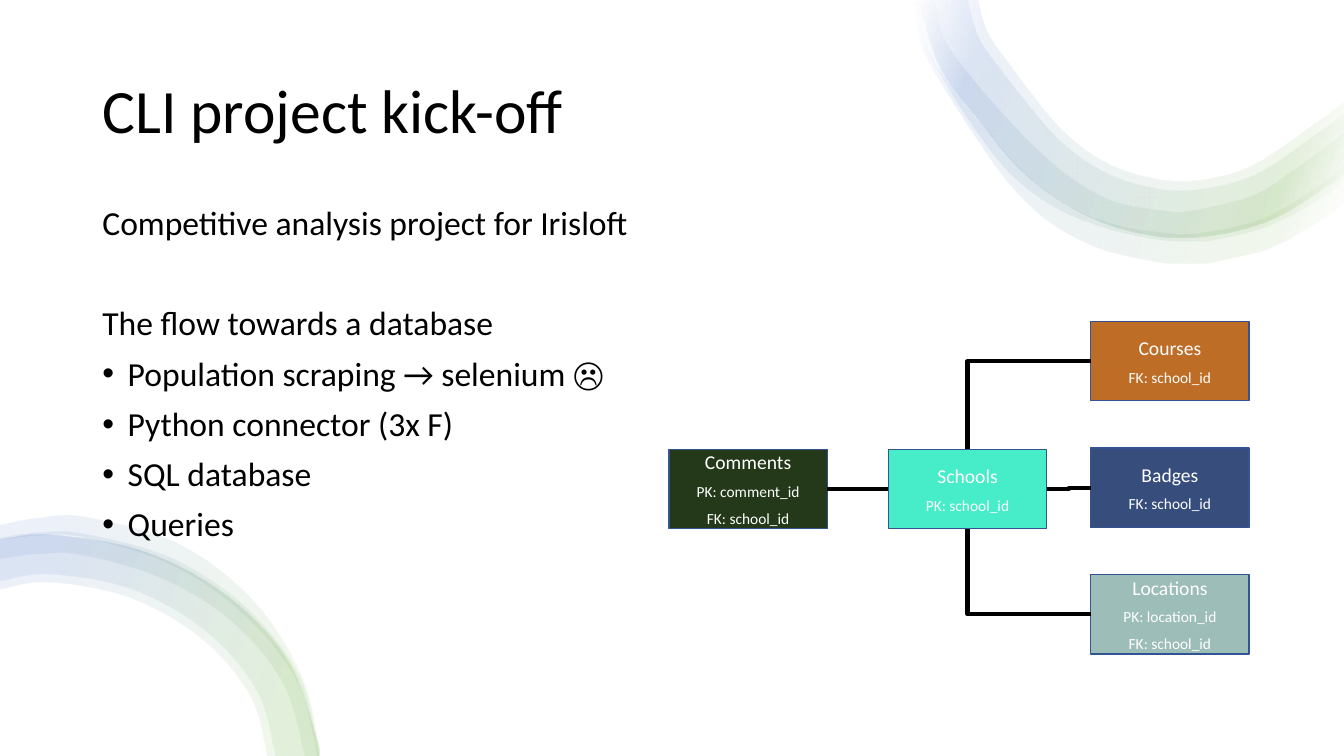
from lxml import etree
from pptx import Presentation
from pptx import util as u
from pptx.dml.color import RGBColor
from pptx.enum import shapes, text
from pptx.oxml import parse_xml
from pptx.oxml.ns import nsdecls, qn

# Content
TITLE = "CLI project kick-off"
# (line, bulleted, space before in points)
BODY = [
    ("Competitive analysis project for Irisloft", False, 0),
    ("The flow towards a database", False, 46),
    ("Population scraping → selenium ☹", True, 10),
    ("Python connector (3x F)", True, 10),
    ("SQL database", True, 10),
    ("Queries", True, 10),
]
# name: (column, row, fill, keys)
TABLES = {
    "Schools": (1, "hub", "46EDC8", ["PK: school_id"]),
    "Comments": (0, "hub", "243919", ["PK: comment_id", "FK: school_id"]),
    "Badges": (2, 1, "374D7C", ["FK: school_id"]),
    "Locations": (2, 2, "9DBDB8", ["PK: location_id", "FK: school_id"]),
    "Courses": (2, 0, "BD6D26", ["FK: school_id"]),
}
TOP, LEFT, BOTTOM, RIGHT = range(4)
# (from, side, to, side, preset)
LINKS = [
    ("Comments", RIGHT, "Schools", LEFT, "bentConnector3"),
    ("Badges", LEFT, "Schools", RIGHT, "bentConnector3"),
    ("Courses", LEFT, "Schools", TOP, "bentConnector2"),
    ("Locations", LEFT, "Schools", BOTTOM, "bentConnector2"),
]
# Edge points of the ribbons, in hundredths of an inch
UPPER_EDGE = [(911, 0), (933, 68), (973, 122), (1013, 169), (1060, 204), (1115, 227),
              (1181, 235), (1257, 219), (1321, 181), (1333, 171)]
LOWER_EDGE = [(316, 750), (314, 732), (284, 653), (222, 589), (141, 547), (49, 531), (0, 536)]
UPPER_RIBBONS = [  # (outer edge, inner edge)
    ([(907, 0), (916, 50), (942, 96), (970, 139), (1001, 182), (1041, 220), (1091, 246),
      (1147, 259), (1183, 261), (1205, 259), (1261, 245), (1310, 218), (1333, 202)],
     [(910, 0), (920, 49), (948, 92), (981, 132), (1015, 170), (1055, 201), (1101, 221),
      (1150, 230), (1188, 231), (1248, 218), (1293, 194), (1333, 165)]),
    ([(911, 0), (919, 46), (943, 91), (970, 132), (1002, 172), (1044, 204), (1094, 225),
      (1147, 237), (1184, 239), (1202, 238), (1255, 225), (1303, 201), (1333, 181)],
     [(927, 0), (937, 39), (964, 77), (996, 114), (1029, 148), (1064, 177), (1104, 199),
      (1150, 208), (1180, 209), (1241, 194), (1281, 170), (1333, 132)]),
    (UPPER_EDGE,
     [(960, 0), (971, 38), (995, 72), (1013, 95), (1049, 137), (1088, 166), (1131, 183),
      (1181, 188), (1244, 173), (1308, 131), (1333, 113)]),
    (UPPER_EDGE,
     [(970, 0), (980, 33), (1003, 66), (1021, 90), (1053, 128), (1090, 157), (1133, 174),
      (1181, 179), (1239, 165), (1302, 124), (1333, 101)]),
]
LOWER_RIBBONS = [
    (LOWER_EDGE,
     [(265, 750), (248, 690), (199, 633), (128, 593), (49, 578), (0, 585)]),
    (LOWER_EDGE,
     [(273, 750), (255, 686), (205, 627), (131, 585), (49, 570), (0, 577)]),
    ([(316, 750), (297, 672), (244, 603), (170, 554), (83, 530), (38, 529), (0, 534)],
     [(302, 750), (281, 679), (230, 617), (160, 574), (81, 551), (39, 550), (0, 555)]),
    ([(317, 750), (300, 674), (252, 597), (178, 540), (86, 513), (37, 514), (0, 521)],
     [(314, 750), (294, 676), (240, 608), (167, 559), (83, 533), (39, 531), (0, 536)]),
]

THEME = {
    "font": "Calibri", "ink": "000000", "paper": "FFFFFF", "outline": "325491",
    "title": 44, "body": 24, "table": 14, "key": 11,
    "faded": [(2, "FFFFFF"), (16, "70AD47"), (85, "4472C4"), (100, "FFFFFF")],
    "plain": [(16, "70AD47"), (85, "4472C4")],
    "ribbon_alpha": 10, "ribbon_angle": 200,
}

# Layout in centimetres
PAGE_WIDTH, PAGE_HEIGHT = 33.87, 19.05
COLUMNS = [16.86, 22.39, 27.49]
ROW_TOP, ROW_PITCH, HUB_TOP = 8.1, 3.19, 11.32
BOX_WIDTH, BOX_HEIGHT = 3.99, 2


def apply(target, **values):
    for name, value in values.items():
        setattr(target, name, value)


def write(para, line, size, color, **values):
    span = para.add_run()
    span.text = line
    apply(span.font, name=THEME["font"], size=u.Pt(size))
    span.font.color.rgb = RGBColor.from_string(color)
    apply(para, **values)


def add_rectangle(page, left, top, width, height, fill):
    box = page.shapes.add_shape(shapes.MSO_SHAPE.RECTANGLE,
                                *map(u.Cm, (left, top, width, height)))
    box.shadow.inherit = False
    box.fill.solid()
    box.fill.fore_color.rgb = RGBColor.from_string(fill)
    return box


def controls(points):
    """Bezier control and end points of a smooth curve through the points."""
    ends = [points[0], *points, points[-1]]
    result = []
    for a, b, c, d in zip(ends, ends[1:], ends[2:], ends[3:]):
        result += [tuple(q + (r - p) / 6 for p, q, r in zip(a, b, c)),
                   tuple(r - (s - q) / 6 for q, r, s in zip(b, c, d)), c]
    return result


def add_ribbon(page, outer, inner, colors):
    inner = inner[::-1]
    points = [(u.Cm(x * 0.0254), u.Cm(y * 0.0254)) for x, y in
              [outer[0], *controls(outer), inner[0], *controls(inner)]]
    outline = page.shapes.build_freeform(*points[0])
    outline.add_line_segments(points[1:])
    ribbon = outline.convert_to_shape()
    ribbon.shadow.inherit = False
    ribbon.line.fill.background()
    ribbon.fill.background()
    props = ribbon._element.spPr

    # Join each three segments of an edge into one curve
    segments = list(props.iter(qn("a:lnTo")))
    across = 3 * (len(outer) - 1)
    del segments[across]
    for first in range(0, across + 3 * (len(inner) - 1), 3):
        curve = etree.Element(qn("a:cubicBezTo"))
        segments[first].addprevious(curve)
        for segment in segments[first:first + 3]:
            curve.append(segment[0])
            segment.getparent().remove(segment)

    stops = "".join(
        f'<a:gs pos="{place * 1000}"><a:srgbClr val="{color}">'
        f'<a:alpha val="{THEME["ribbon_alpha"] * 1000}"/></a:srgbClr></a:gs>'
        for place, color in colors)
    gradient = parse_xml(
        f'<a:gradFill {nsdecls("a")}><a:gsLst>{stops}</a:gsLst>'
        f'<a:lin ang="{THEME["ribbon_angle"] * 60000}" scaled="0"/></a:gradFill>')
    props.replace(props.find(qn("a:noFill")), gradient)


def add_table_box(page, name, column, row, fill, keys):
    top = HUB_TOP if row == "hub" else ROW_TOP + row * ROW_PITCH
    box = add_rectangle(page, COLUMNS[column], top, BOX_WIDTH, BOX_HEIGHT, fill)
    box.line.color.rgb = RGBColor.from_string(THEME["outline"])
    box.line.width = u.Pt(1)
    frame = box.text_frame
    apply(frame, word_wrap=True, vertical_anchor=text.MSO_ANCHOR.MIDDLE)
    for index, line in enumerate([name, *keys]):
        para = frame.add_paragraph() if index else frame.paragraphs[0]
        write(para, line, THEME["key" if index else "table"], THEME["paper"],
              alignment=text.PP_ALIGN.CENTER, space_after=u.Pt(6))
    return box


def add_link(page, start, start_side, end, end_side, preset):
    link = page.shapes.add_connector(shapes.MSO_CONNECTOR.ELBOW, 0, 0, 0, 0)
    link.begin_connect(start, start_side)
    link.end_connect(end, end_side)
    link.line.color.rgb = RGBColor.from_string(THEME["ink"])
    link.line.width = u.Pt(3)
    props = link._element.spPr
    props.find(qn("a:prstGeom")).set("prst", preset)
    etree.SubElement(props, qn("a:effectLst"))


def main():
    deck = Presentation()
    apply(deck, slide_width=u.Cm(PAGE_WIDTH), slide_height=u.Cm(PAGE_HEIGHT))
    page = deck.slides.add_slide(deck.slide_layouts[5])

    # Backdrop and ribbons
    backdrop = add_rectangle(page, 0, 0, PAGE_WIDTH, PAGE_HEIGHT, THEME["paper"])
    backdrop.line.fill.background()
    for ribbons, colors in ((UPPER_RIBBONS, "faded"), (LOWER_RIBBONS, "plain")):
        for outer, inner in ribbons:
            add_ribbon(page, outer, inner, THEME[colors])

    # Database diagram
    boxes = {name: add_table_box(page, name, *parts) for name, parts in TABLES.items()}
    for start, start_side, end, end_side, preset in LINKS:
        add_link(page, boxes[start], start_side, boxes[end], end_side, preset)

    # Title, brought in front of the backdrop
    title = page.shapes.title
    backdrop._element.getparent().append(title._element)
    apply(title, left=u.Cm(2.33), top=u.Cm(1.01), width=u.Cm(29.21), height=u.Cm(3.68))
    apply(title.text_frame, word_wrap=True, auto_size=text.MSO_AUTO_SIZE.NONE,
          vertical_anchor=text.MSO_ANCHOR.MIDDLE)
    write(title.text_frame.paragraphs[0], TITLE, THEME["title"], THEME["ink"],
          alignment=text.PP_ALIGN.LEFT, line_spacing=0.9)

    # Body text
    body = page.shapes.add_textbox(*map(u.Cm, (2.33, 5.07, 14.61, 12.09)))
    frame = body.text_frame
    frame.word_wrap = True
    for index, (line, bulleted, before) in enumerate(BODY):
        para = frame.add_paragraph() if index else frame.paragraphs[0]
        write(para, line, THEME["body"], THEME["ink"],
              line_spacing=0.9, space_before=u.Pt(before))
        if bulleted:
            props = para._p.get_or_add_pPr()
            indent = u.Cm(0.64)
            props.set("marL", str(indent))
            props.set("indent", str(-indent))
            etree.SubElement(props, qn("a:buFont")).set("typeface", "Arial")
            etree.SubElement(props, qn("a:buChar")).set("char", "•")

    deck.save("out.pptx")


if __name__ == "__main__":
    main()
